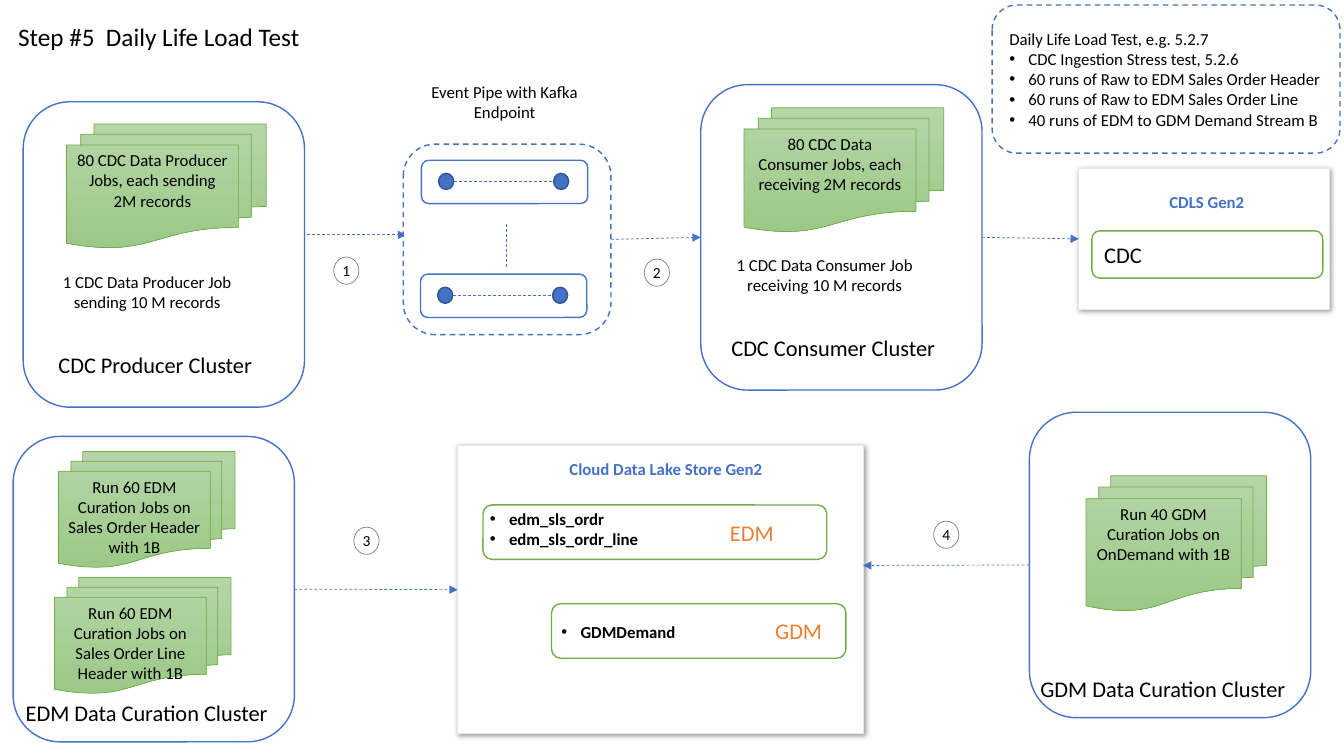
"""Build the daily life load test architecture slide."""
from lxml import etree
from pptx import Presentation
from pptx.dml.color import RGBColor
from pptx.enum.dml import MSO_LINE
from pptx.enum.shapes import MSO_CONNECTOR, MSO_SHAPE
from pptx.enum.text import MSO_ANCHOR, MSO_AUTO_SIZE, PP_ALIGN
from pptx.oxml.ns import qn
from pptx.util import Inches, Pt

ROUNDED, RECTANGLE, OVAL = MSO_SHAPE.ROUNDED_RECTANGLE, MSO_SHAPE.RECTANGLE, MSO_SHAPE.OVAL
DOT, DOCUMENTS = MSO_SHAPE.FLOWCHART_CONNECTOR, MSO_SHAPE.FLOWCHART_MULTIDOCUMENT
LEFT, CENTER, RIGHT = PP_ALIGN.LEFT, PP_ALIGN.CENTER, PP_ALIGN.RIGHT
TOP, MIDDLE = MSO_ANCHOR.TOP, MSO_ANCHOR.MIDDLE
DASH = MSO_LINE.DASH
LEFT_SIDE, RIGHT_SIDE = 1, 3

FONT = "Calibri"
BLUE, DARK_BLUE, GREEN, ORANGE = "4472C4", "325491", "70AD47", "ED7D31"
BLACK, WHITE, GRAY, PALE_GRAY = "000000", "FFFFFF", "808080", "E7E6E6"
DOCUMENT_GRADIENT = ("B5D5A7", "9CC987")

TITLE = "Step #5  Daily Life Load Test"
CLUSTER_SIZE = (2.79, 3.03)
CLUSTERS = {
    "consumer": (6.95, 0.84),
    "producer": (0.23, 1.01),
    "edm": (0.13, 4.33),
    "gdm": (10.21, 4.09),
}
STORES = {"landing": (10.7, 1.67, 2.49, 1.4), "lake": (4.54, 4.42, 4.02, 2.86)}
HUB = (4, 1.43, 2.06, 1.89)
CHANNELS = [(4.18, 1.59), (4.17, 2.72)]
JOBS = [
    ("80 CDC Data Consumer Jobs, each receiving 2M records", (7.38, 1.07, 1.98, 1.23)),
    ("80 CDC Data Producer Jobs, each sending 2M records", (0.66, 1.23, 1.98, 1.23)),
    ("Run 60 EDM Curation Jobs on Sales Order Header with 1B", (0.58, 4.48, 1.75, 1.15)),
    ("Run 60 EDM Curation Jobs on Sales Order Line Header with 1B", (0.54, 5.73, 1.75, 1.15)),
    ("Run 40 GDM Curation Jobs on OnDemand with 1B", (10.77, 4.72, 1.79, 1.34)),
]
CLUSTER_LABELS = [
    ("CDC Consumer Cluster", (7.1, 3.27, 2.33, 0.37)),
    ("CDC Producer Cluster", (0.44, 3.43, 2.2, 0.37)),
    ("EDM Data Curation Cluster", (0.06, 6.89, 2.79, 0.37)),
    ("GDM Data Curation Cluster", (10.15, 6.65, 2.77, 0.37)),
]
CAPTIONS = [
    ("1 CDC Data Consumer Job receiving 10 M records", (7.19, 2.48, 1.98, 0.5)),
    ("1 CDC Data Producer Job sending 10 M records", (0.47, 2.65, 1.98, 0.5)),
    ("Event Pipe with Kafka Endpoint", (4.18, 0.76, 1.65, 0.5)),
]
STORE_TITLES = [
    ("CDLS Gen2", (10.79, 1.85, 2.36, 0.3)),
    ("Cloud Data Lake Store Gen2", (5.24, 4.5, 2.73, 0.32)),
]
ZONES = [
    ("CDC", (10.83, 2.29, 2.29, 0.47), BLACK, LEFT, 0.1),
    ("EDM", (4.79, 5.01, 3.41, 0.54), ORANGE, RIGHT, 0.5),
    ("GDM", (5.47, 5.99, 2.92, 0.54), ORANGE, RIGHT, 0.21),
]
TABLE_LISTS = [
    (["edm_sls_ordr", "edm_sls_ordr_line"], (4.76, 5, 1.95, 0.53)),
    (["GDMDemand"], (5.47, 6.12, 1.44, 0.32)),
]
NOTE_BOX = (9.84, 0.05, 3.45, 1.47)
NOTE_HEADING = "Daily Life Load Test, e.g. 5.2.7"
NOTE_ITEMS = [
    "CDC Ingestion Stress test, 5.2.6",
    "60 runs of Raw to EDM Sales Order Header",
    "60 runs of Raw to EDM Sales Order Line",
    "40 runs of EDM to GDM Demand Stream B",
]
STEPS = [(3.31, 2.55), (6.39, 2.57), (3.51, 5.23), (9.26, 5.17)]
FLOWS = [("hub", "consumer"), ("consumer", "landing"), ("edm", "lake")]


def color(value):
    return RGBColor.from_string(value)


def add_child(parent, tag, **attributes):
    return etree.SubElement(parent, qn(tag), attributes)


def write(shape, lines, size=12, ink=BLACK, bold=False, align=CENTER, anchor=TOP,
          wrap=True, bullets_from=None, **insets):
    frame = shape.text_frame
    settings = {"word_wrap": wrap, "auto_size": MSO_AUTO_SIZE.NONE, "vertical_anchor": anchor}
    settings.update({name: Inches(inset) for name, inset in insets.items()})
    for name, value in settings.items():
        setattr(frame, name, value)
    for index, line in enumerate(lines):
        paragraph = frame.paragraphs[0] if index == 0 else frame.add_paragraph()
        paragraph.alignment = align
        if bullets_from is not None and index >= bullets_from:
            properties = paragraph._p.get_or_add_pPr()
            properties.set("marL", str(Inches(0.19)))
            properties.set("indent", str(-Inches(0.19)))
            add_child(properties, "a:buFont", typeface="Arial")
            add_child(properties, "a:buChar", char="•")
        run = paragraph.add_run()
        run.text = line
        for name, value in {"name": FONT, "size": Pt(size), "bold": bold}.items():
            setattr(run.font, name, value)
        run.font.color.rgb = color(ink)


def add_box(slide, kind, box, line, width=1, fill=WHITE, dash=None):
    shape = slide.shapes.add_shape(kind, *map(Inches, box))
    shape.shadow.inherit = False
    if fill is None:
        shape.fill.background()
    elif isinstance(fill, tuple):
        shape.fill.gradient()
        shape.fill.gradient_angle = 270
        for stop, value in zip(shape.fill.gradient_stops, fill):
            stop.color.rgb = color(value)
    else:
        shape.fill.solid()
        shape.fill.fore_color.rgb = color(fill)
    shape.line.color.rgb = color(line)
    shape.line.width = Pt(width)
    if dash:
        shape.line.dash_style = dash
    return shape


def add_label(slide, box, lines, **style):
    write(slide.shapes.add_textbox(*map(Inches, box)), lines, **style)


def add_dashed_line(slide, start, end, arrow=False):
    connector = slide.shapes.add_connector(MSO_CONNECTOR.STRAIGHT, *map(Inches, start + end))
    connector.line.color.rgb = color(BLUE)
    connector.line.width = Pt(0.5)
    connector.line.dash_style = DASH
    if arrow:
        add_child(connector.line._get_or_add_ln(), "a:tailEnd", type="triangle")
    add_child(connector._element.spPr, "a:effectLst")
    return connector


def add_store(slide, box):
    store = add_box(slide, RECTANGLE, box, PALE_GRAY, 0.75)
    effects = store._element.spPr.find(qn("a:effectLst"))
    shadow = add_child(effects, "a:outerShdw", blurRad=str(Pt(4)), dist=str(Pt(1)),
                       dir="2700000", algn="tl", rotWithShape="0")
    add_child(add_child(shadow, "a:srgbClr", val=BLACK), "a:alpha", val="40000")
    return store


def add_channel(slide, left, top):
    add_box(slide, ROUNDED, (left, top, 1.65, 0.43), BLUE)
    for offset in (0.17, 1.31):
        add_box(slide, DOT, (left + offset, top + 0.13, 0.15, 0.16), DARK_BLUE, fill=BLUE)
    add_dashed_line(slide, (left + 0.32, top + 0.21), (left + 1.31, top + 0.21))


def main():
    presentation = Presentation()
    presentation.slide_width, presentation.slide_height = Inches(13.33), Inches(7.5)
    slide = presentation.slides.add_slide(presentation.slide_layouts[5])
    title = slide.shapes.title
    title.left, title.top, title.width, title.height = map(Inches, (0.08, 0.16, 4.78, 0.71))
    write(title, [TITLE], size=18, align=LEFT)

    add_dashed_line(slide, (2.95, 2.33), (4.03, 2.33), arrow=True)
    nodes = {name: add_store(slide, box) for name, box in STORES.items()}
    for name, corner in CLUSTERS.items():
        nodes[name] = add_box(slide, ROUNDED, corner + CLUSTER_SIZE, BLUE)
    nodes["hub"] = add_box(slide, ROUNDED, HUB, BLUE, dash=DASH)
    for corner in CHANNELS:
        add_channel(slide, *corner)
    add_dashed_line(slide, (5.02, 2.22), (5.02, 2.65))

    for text, box in JOBS:
        write(add_box(slide, DOCUMENTS, box, GREEN, 0.5, DOCUMENT_GRADIENT), [text])
    for text, box in CLUSTER_LABELS:
        add_label(slide, box, [text], size=16, wrap=False)
    for text, box in CAPTIONS:
        add_label(slide, box, [text])
    for text, box in STORE_TITLES:
        add_label(slide, box, [text], ink=BLUE, bold=True)
    for text, box, ink, align, inset in ZONES:
        write(add_box(slide, ROUNDED, box, GREEN), [text], size=16, ink=ink, align=align,
              anchor=MIDDLE, margin_left=inset, margin_right=inset)
    for names, box in TABLE_LISTS:
        add_label(slide, box, names, bold=True, align=LEFT, bullets_from=0)
    note = add_box(slide, ROUNDED, NOTE_BOX, BLUE, dash=DASH)
    write(note, [NOTE_HEADING] + NOTE_ITEMS, align=LEFT, anchor=MIDDLE, bullets_from=1)

    for number, corner in enumerate(STEPS, 1):
        step = add_box(slide, OVAL, corner + (0.25, 0.27), GRAY, 0.5, None)
        write(step, [str(number)], size=11, anchor=MIDDLE, wrap=False, margin_left=0,
              margin_right=0, margin_top=0, margin_bottom=0)
    for source, target in FLOWS:
        flow = add_dashed_line(slide, (0, 0), (1, 1), arrow=True)
        flow.begin_connect(nodes[source], RIGHT_SIDE)
        flow.end_connect(nodes[target], LEFT_SIDE)
    gdm_flow = add_dashed_line(slide, (10.21, 5.6), (8.56, 5.61), arrow=True)
    gdm_flow.begin_connect(nodes["gdm"], LEFT_SIDE)
    presentation.save("out.pptx")


if __name__ == "__main__":
    main()
